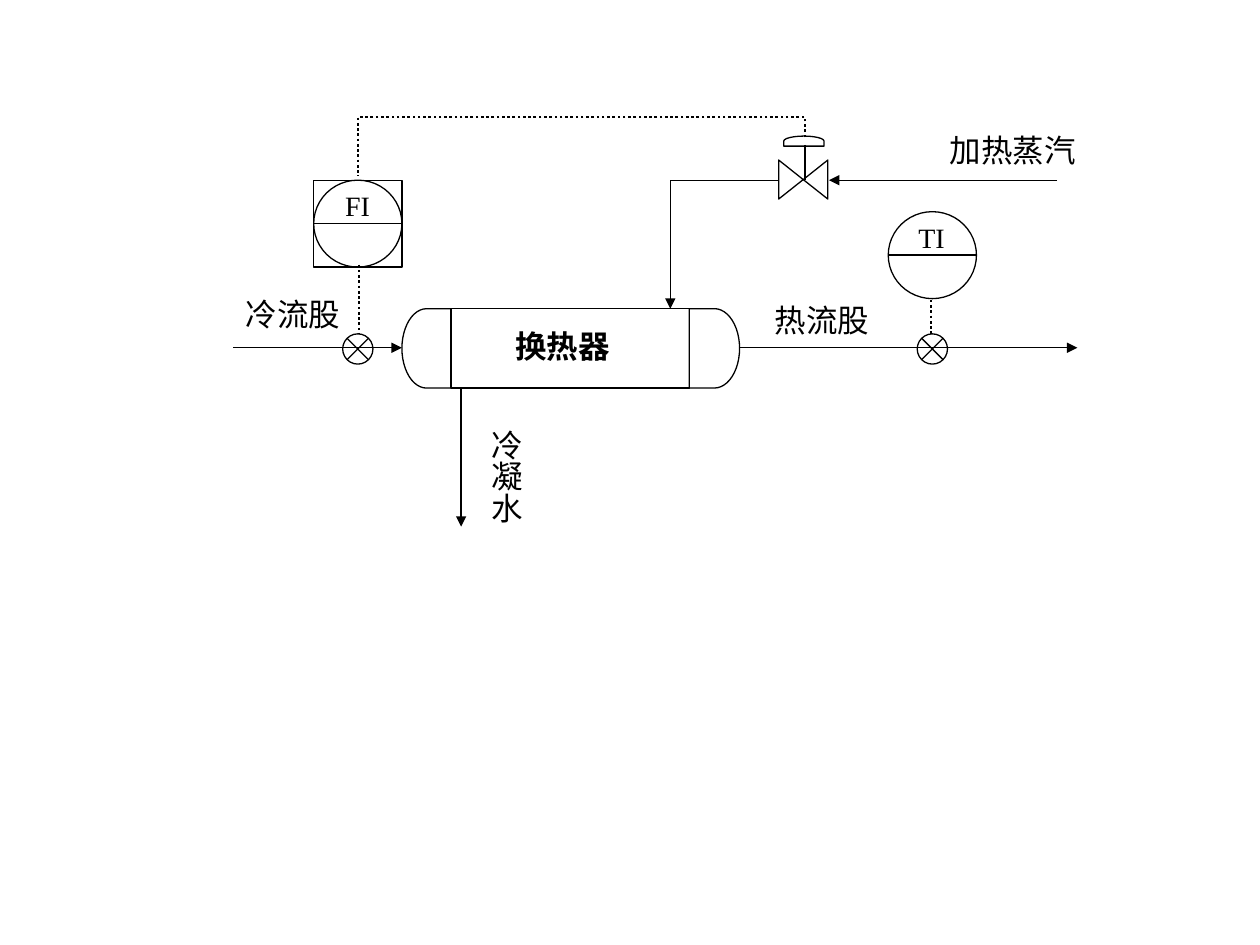
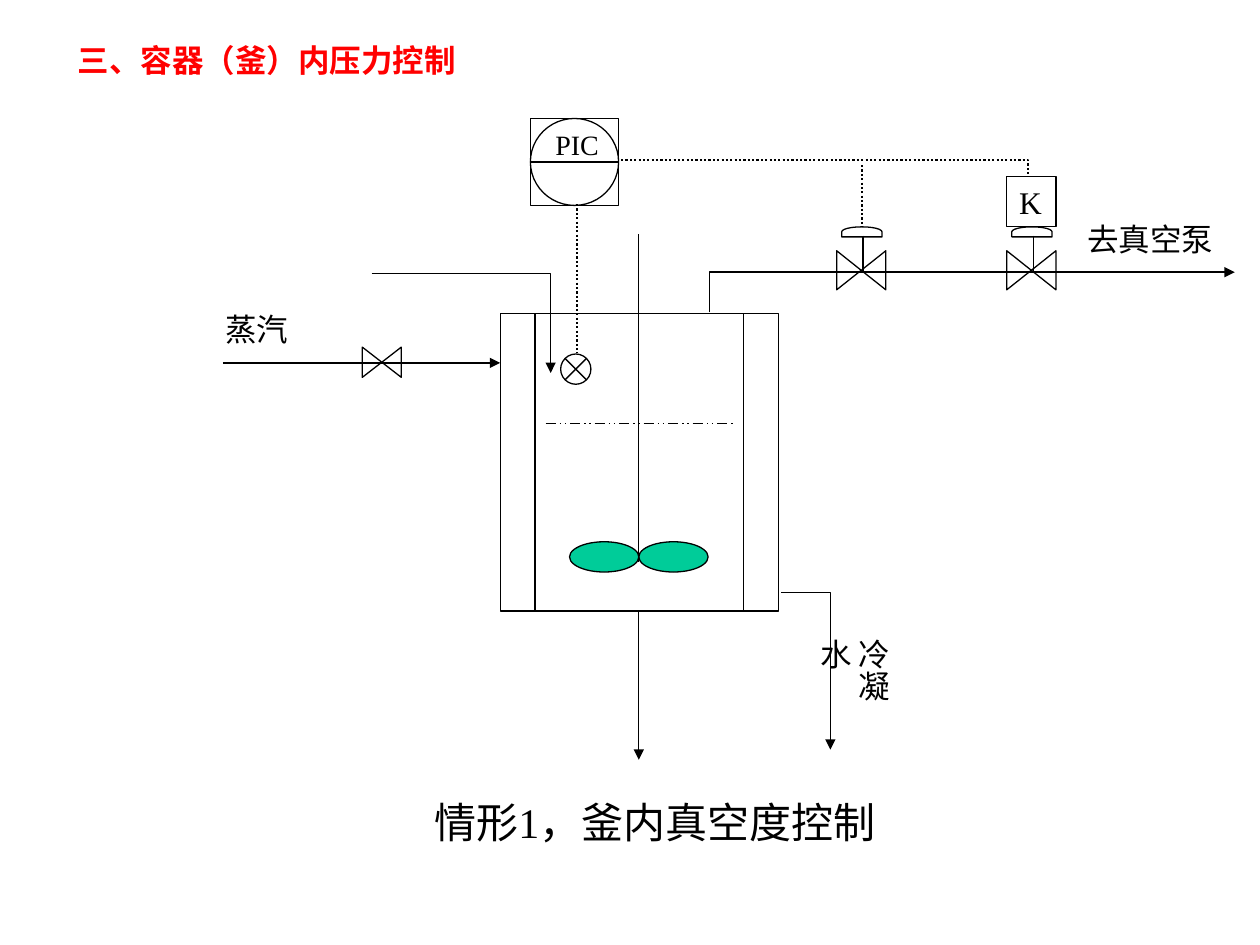
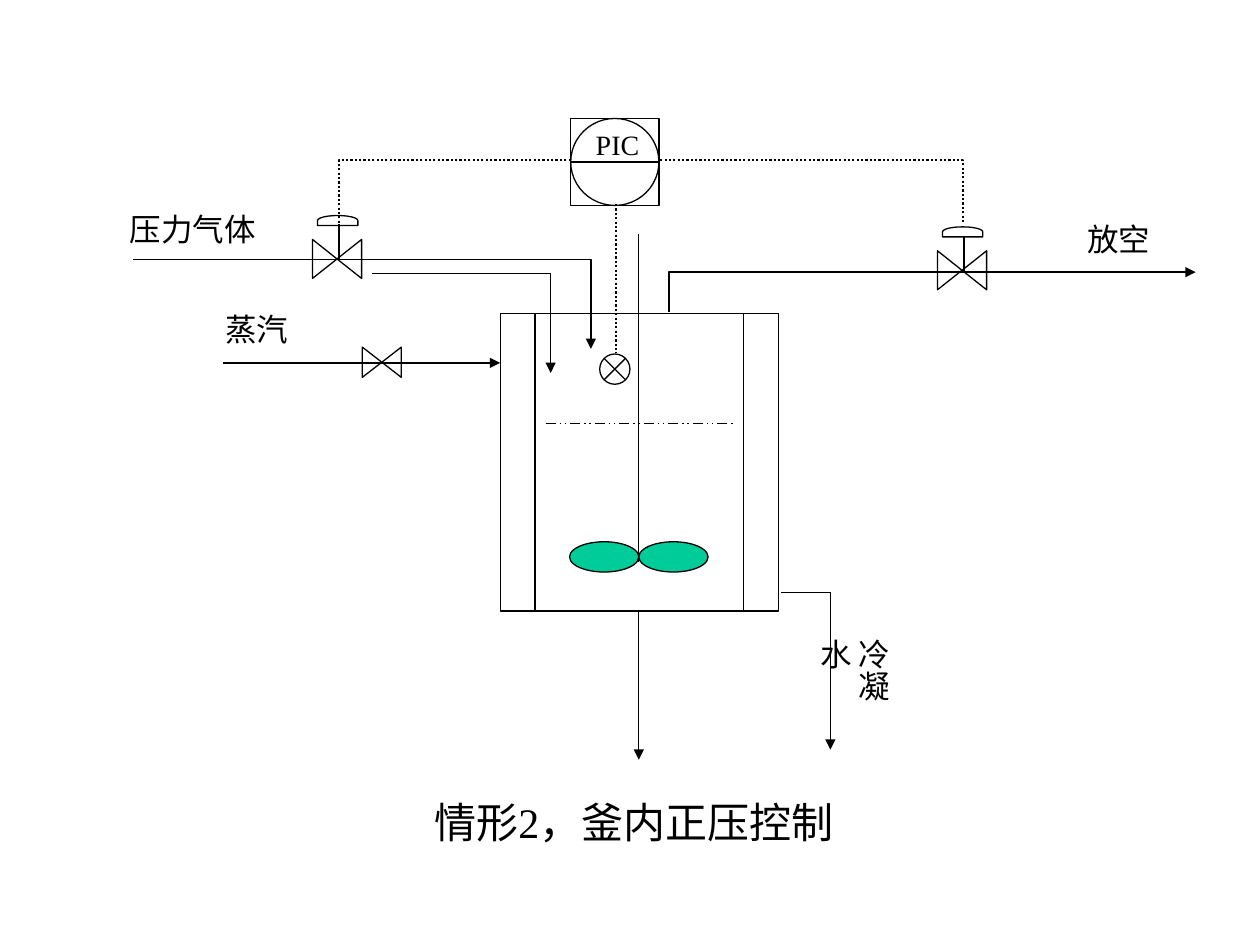
from lxml import etree
from pptx import Presentation
from pptx.dml.color import RGBColor
from pptx.enum import dml, lang, shapes, text
from pptx.oxml.ns import qn
from pptx.util import Inches, Pt

BLACK = RGBColor(0x00, 0x00, 0x00)
RED = RGBColor(0xFF, 0x00, 0x00)
GREEN = RGBColor(0x00, 0xCC, 0x99)
FONT = "Times New Roman"
G = shapes.MSO_SHAPE
DOT = dml.MSO_LINE.ROUND_DOT
LEVEL = dml.MSO_LINE.DASH_DOT_DOT

prs = Presentation()
prs.slide_width, prs.slide_height = Inches(10), Inches(7.5)
COL = prs.slide_width / 100
ROW = prs.slide_height / 75


def box(s, kind, x, y, w, h, txt="", size=18, color=BLACK, bold=False,
        fill=None, rot=0, vertical=False):
    """Add an outlined shape, or a bare text box when kind is None."""
    frame = [round(v) for v in (x * COL, y * ROW, w * COL, h * ROW)]
    if kind is None:
        sp = s.shapes.add_textbox(*frame)
    else:
        sp = s.shapes.add_shape(kind, *frame)
        sp.shadow.inherit = False
        sp.rotation = rot
        sp.line.color.rgb = BLACK
        sp.line.width = Pt(0.75)
        if fill is None:
            sp.fill.background()
        else:
            sp.fill.solid()
            sp.fill.fore_color.rgb = fill
    if txt:
        tf = sp.text_frame
        tf.word_wrap = True
        tf.auto_size = text.MSO_AUTO_SIZE.SHAPE_TO_FIT_TEXT
        tf.vertical_anchor = text.MSO_ANCHOR.TOP
        if vertical:
            tf._txBody.bodyPr.set("vert", "eaVert")
            tf.margin_left = tf.margin_right = Inches(0.05)
            tf.margin_top = tf.margin_bottom = Inches(0.1)
        p = tf.paragraphs[0]
        p.alignment = text.PP_ALIGN.LEFT
        r = p.add_run()
        r.text = txt
        r.font.name, r.font.size, r.font.bold = FONT, Pt(size), bold
        r.font.color.rgb = color
        r.font.language_id = lang.MSO_LANGUAGE_ID.SIMPLIFIED_CHINESE


def pipe(s, *points, width=0.75, dash=None, arrow=False):
    """Join grid points: a connector for two, an open outline for more."""
    pts = [(round(x * COL), round(y * ROW)) for x, y in points]
    if len(pts) == 2:
        sp = s.shapes.add_connector(shapes.MSO_CONNECTOR.STRAIGHT, *pts[0], *pts[1])
    else:
        fb = s.shapes.build_freeform(*pts[0])
        fb.add_line_segments(pts[1:], close=False)
        sp = fb.convert_to_shape()
        sp.fill.background()
    sp.line.color.rgb = BLACK
    sp.line.width = Pt(width)
    if dash:
        sp.line.dash_style = dash
    spPr = sp._element.spPr
    if arrow:
        etree.SubElement(spPr.find(qn("a:ln")), qn("a:tailEnd"), type="triangle")
    etree.SubElement(spPr, qn("a:effectLst"))


exchanger, vacuum, pressure = [prs.slides.add_slide(prs.slide_layouts[6]) for _ in range(3)]

# Heat exchanger: shell, two heads and its streams
box(exchanger, G.FLOWCHART_DELAY, 31.9, 24.5, 3.9, 6.3, rot=180)
box(exchanger, G.FLOWCHART_DELAY, 54.7, 24.5, 4, 6.3)
box(exchanger, G.RECTANGLE, 35.8, 24.5, 18.9, 6.3)
for stream in (
    [(18.5, 27.6), (31.9, 27.6)],
    [(58.7, 27.6), (85.5, 27.6)],
    [(83.9, 14.3), (65.8, 14.3)],
    [(61.8, 14.3), (53.2, 14.3), (53.2, 24.5)],
    [(36.6, 30.8), (36.6, 41.8)],
):
    pipe(exchanger, *stream, arrow=True)

# Jacketed, stirred vessel with its streams
for s in (vacuum, pressure):
    box(s, G.FLOWCHART_PREDEFINED_PROCESS, 39.7, 24.9, 22.1, 23.6)
    pipe(s, (50.7, 18.6), (50.7, 44.6))
    for blade_x in (45.2, 50.7):
        box(s, G.OVAL, blade_x, 43, 5.5, 2.4, fill=GREEN)
    for stream in (
        [(29.5, 21.7), (43.7, 21.7), (43.7, 29.6)],
        [(50.7, 48.5), (50.7, 60.3)],
        [(17.7, 28.8), (39.7, 28.8)],
        [(62, 47), (65.9, 47), (65.9, 59.5)],
    ):
        pipe(s, *stream, arrow=True)
    pipe(s, (43.3, 33.6), (58.2, 33.6), dash=LEVEL)
    box(s, G.FLOWCHART_COLLATE, 29.1, 27.2, 2.4, 3.1, rot=90)
    box(s, None, 16.9, 24.1, 7.9, 4, "蒸汽")
    box(s, None, 66.3, 49.7, 5, 8.7, "冷凝水", vertical=True)

# Outlets and inlets that differ between the two cases
pipe(vacuum, (56.3, 24.8), (56.3, 21.6), (98, 21.6), arrow=True)
pipe(pressure, (53.1, 24.8), (53.1, 21.6), (94.9, 21.6), arrow=True)
pipe(pressure, (10.6, 20.6), (46.9, 20.6), (46.9, 27.7), arrow=True)

# Instruments: left, top, tag, tag offset, panel frame
for s, x, y, tag, dx, framed in (
    (exchanger, 70.5, 16.8, "TI", 1.4, False),
    (exchanger, 24.9, 14.3, "FI", 1.5, True),
    (vacuum, 42.1, 9.4, "PIC", 1, True),
    (pressure, 45.3, 9.4, "PIC", 1, True),
):
    if framed:
        box(s, G.RECTANGLE, x, y, 7, 6.9)
    box(s, G.OVAL, x, y, 7, 6.9)
    pipe(s, (x, y + 3.45), (x + 7, y + 3.45))
    box(s, None, x + dx, y + 0.2, 5.6, 3.7, tag, size=16)

# Measuring points
for s, x, y in ((exchanger, 72.8, 26.5), (exchanger, 27.2, 26.5),
                (vacuum, 44.5, 28.1), (pressure, 47.6, 28.1)):
    box(s, G.FLOWCHART_SUMMING_JUNCTION, x, y, 2.4, 2.4)

# Control valves, placed by the centre of the body
for s, x, y in ((exchanger, 63.8, 14.3), (vacuum, 68.4, 21.5), (vacuum, 81.9, 21.5),
                (pressure, 26.8, 20.6), (pressure, 76.4, 21.5)):
    box(s, G.FLOWCHART_COLLATE, x - 1.6, y - 2, 3.1, 3.9, rot=270)
    pipe(s, (x + 0.1, y - 2.8), (x + 0.1, y))
    box(s, G.FLOWCHART_DELAY, x - 0.4, y - 4.7, 0.8, 3.2, rot=270)

# Signal lines
for s, width, points in (
    (exchanger, 1.5, [(73.9, 23.8), (73.9, 26.6)]),
    (exchanger, 1.5, [(28.5, 21), (28.5, 26.5)]),
    (exchanger, 1.5, [(63.9, 10.9), (63.9, 9.3), (28.4, 9.3), (28.4, 14)]),
    (vacuum, 1.25, [(45.8, 16.2), (45.8, 28)]),
    (vacuum, 1.25, [(49.3, 12.7), (81.6, 12.7), (81.6, 13.9)]),
    (vacuum, 1.25, [(68.4, 13.1), (68.4, 17.8)]),
    (pressure, 1.25, [(48.9, 16.2), (48.9, 28)]),
    (pressure, 1.25, [(45.3, 12.7), (26.9, 12.7), (26.9, 17.8)]),
    (pressure, 1.25, [(52.4, 12.7), (76.4, 12.7), (76.4, 17.8)]),
):
    pipe(s, *points, width=width, dash=DOT)

# Labels, captions and heading
box(vacuum, G.RECTANGLE, 79.9, 14, 3.9, 4, "K")
box(vacuum, None, 5.2, 2.8, 47.2, 4, "三、容器（釜）内压力控制", color=RED, bold=True)
box(exchanger, None, 39.9, 25.5, 10.2, 4, "换热器", bold=True)
box(exchanger, None, 37.2, 33.1, 5, 10.2, "冷凝水", vertical=True)
for s, x, y, w, label in (
    (exchanger, 18.5, 22.9, 11.8, "冷流股"),
    (exchanger, 60.5, 23.4, 11.8, "热流股"),
    (exchanger, 74.4, 9.9, 12.7, "加热蒸汽"),
    (vacuum, 85.3, 17, 13, "去真空泵"),
    (pressure, 85.3, 17, 8.8, "放空"),
    (pressure, 9.3, 16.2, 13.1, "压力气体"),
):
    box(s, None, x, y, w, 4, label)
for s, caption in ((vacuum, "情形1，釜内真空度控制"), (pressure, "情形2，釜内正压控制")):
    box(s, None, 33.5, 62.7, 42.5, 5, caption, size=24)

prs.save("out.pptx")
